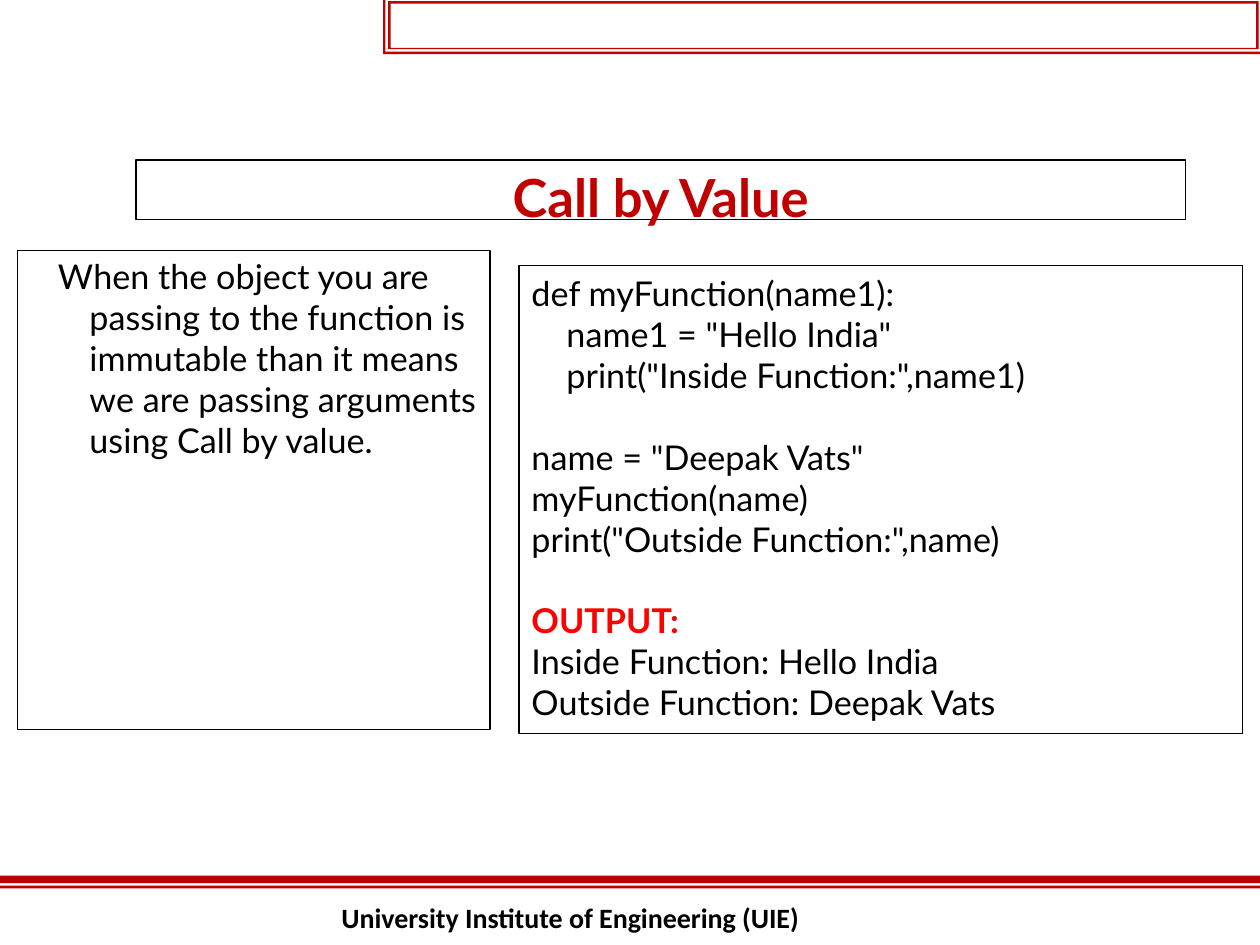
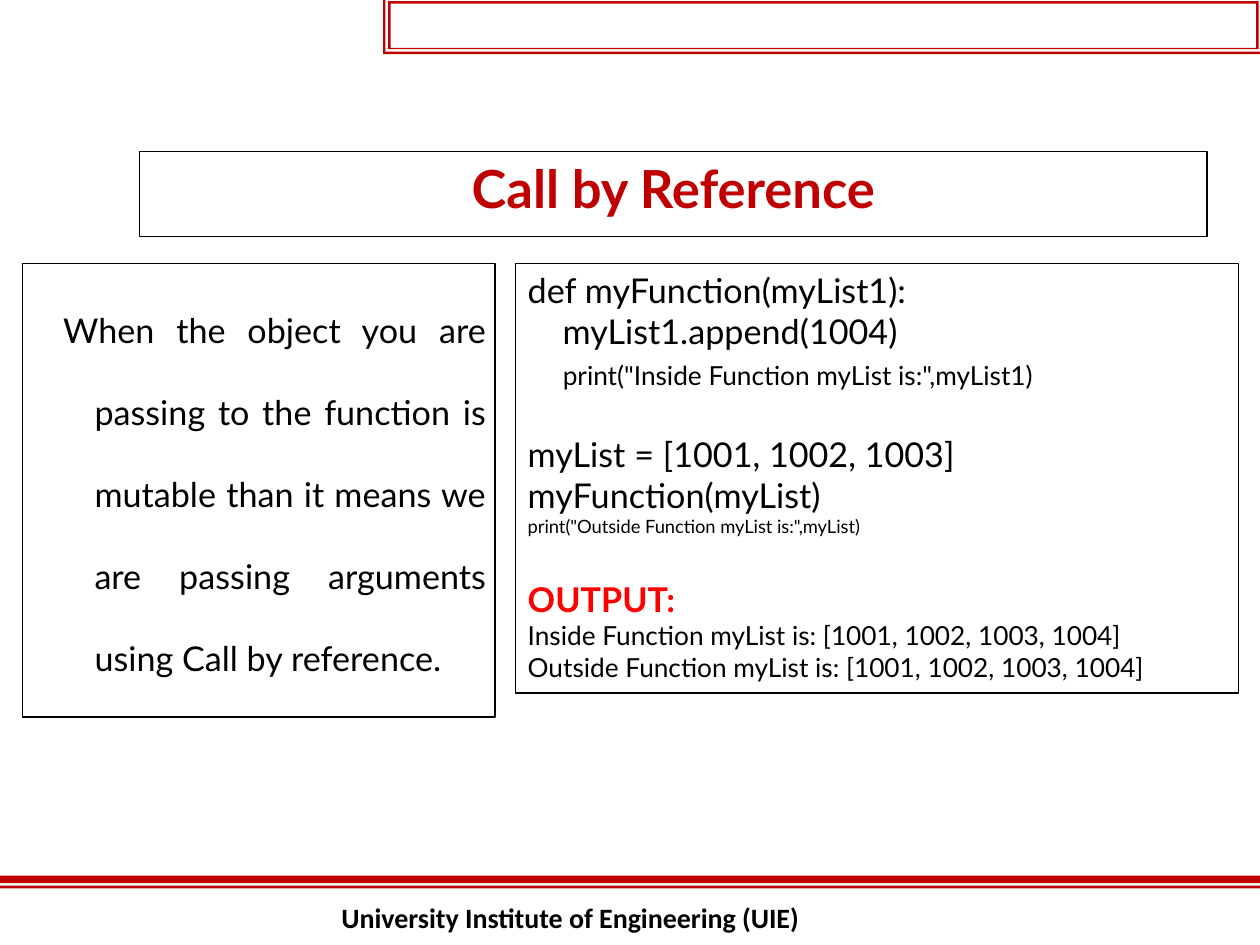
"""Builds two slides on calling Python functions by value and by reference."""
from pptx import Presentation
from pptx.dml.color import RGBColor
from pptx.enum.text import MSO_ANCHOR, MSO_AUTO_SIZE, PP_ALIGN as ALIGN
from pptx.util import Inches, Pt

COLORS = {"brand": "C00000", "text": "000000", "output": "FF0000"}
CODE_SIZE = 19.5
LINE_HEIGHT = 1.2
INSETS = (0.07, 0.04)
FOOTER = "University Institute of Engineering (UIE)"
FOOTER_AREA = (2.71, 7.15, 4.59, 0.27)

LESSONS = [
    {
        "title": "Call by Value",
        "title_area": (1.08, 1.27, 8.33, 0.47),
        "idea": "When the object you are passing to the function is immutable "
                "than it means we are passing arguments using Call by value.",
        "idea_area": (0.14, 1.99, 3.75, 3.8),
        "idea_format": {},
        "code": [
            [("def myFunction(name1):", CODE_SIZE),
             ('    name1 = "Hello India"', CODE_SIZE),
             ('    print("Inside Function:",name1)', CODE_SIZE)],
            [('name = "Deepak Vats"', CODE_SIZE),
             ("myFunction(name)", CODE_SIZE),
             ('print("Outside Function:",name)', CODE_SIZE)],
            [("OUTPUT:", CODE_SIZE),
             ("Inside Function: Hello India", CODE_SIZE),
             ("Outside Function: Deepak Vats", CODE_SIZE)],
        ],
        "code_area": (4.12, 2.11, 5.74, 3.71),
    },
    {
        "title": "Call by Reference",
        "title_area": (1.11, 1.2, 8.47, 0.68),
        "idea": "When the object you are passing to the function is mutable "
                "than it means we are passing arguments using Call by reference.",
        "idea_area": (0.18, 2.09, 3.75, 3.6),
        "idea_format": {"align": ALIGN.JUSTIFY, "spacing": 2.0},
        "code": [
            [("def myFunction(myList1):", CODE_SIZE),
             ("    myList1.append(1004)", CODE_SIZE),
             ('    print("Inside Function myList is:",myList1)', 15)],
            [("myList = [1001, 1002, 1003]", CODE_SIZE),
             ("myFunction(myList)", CODE_SIZE),
             ('print("Outside Function myList is:",myList)', 10.5)],
            [("OUTPUT:", CODE_SIZE),
             ("Inside Function myList is: [1001, 1002, 1003, 1004]", 15),
             ("Outside Function myList is: [1001, 1002, 1003, 1004]", 15)],
        ],
        "code_area": (4.09, 2.09, 5.74, 3.41),
    },
]


def rect(left, top, right, bottom):
    return [(left, top), (right, top), (right, bottom), (left, bottom)]


FOOTER_RULES = [rect(0, 6.95, 10, 7.01), rect(0, 7.03, 10, 7.05)]
HEADER_FRAME = [
    [(3.04, 0), (3.06, 0), (3.06, 0.41), (10, 0.41), (10, 0.43), (3.04, 0.43)],
    rect(3.08, 0.01, 9.99, 0.39),
    rect(3.1, 0.03, 9.97, 0.38),
]


def rgb(name):
    return RGBColor.from_string(COLORS[name])


def write(paragraph, text, size=CODE_SIZE, color="text", bold=False, font="Lato",
          align=ALIGN.LEFT, spacing=None, before=0):
    paragraph.alignment = align
    paragraph.line_spacing = spacing
    paragraph.space_before = Pt(before)
    code = text.lstrip()
    indent = text[:len(text) - len(code)]
    for part, part_size in ((indent, CODE_SIZE), (code, size)):
        if part:
            run = paragraph.add_run()
            run.text = part
            run.font.name, run.font.size, run.font.bold = font, Pt(part_size), bold
            run.font.color.rgb = rgb(color)


def place(box, area, insets, outlined=True):
    box.left, box.top, box.width, box.height = map(Inches, area)
    frame = box.text_frame
    frame.word_wrap = True
    frame.auto_size = MSO_AUTO_SIZE.NONE
    frame.vertical_anchor = MSO_ANCHOR.TOP
    frame.margin_left = frame.margin_right = Inches(insets[0])
    frame.margin_top = frame.margin_bottom = Inches(insets[1])
    if outlined:
        box.line.color.rgb = rgb("text")
        box.line.width = Pt(0.75)
    return frame


def add_box(slide, area, insets, outlined=True):
    box = slide.shapes.add_textbox(*map(Inches, area))
    return place(box, area, insets, outlined)


def add_band(slide, layout, outlines):
    start, *rest = [[tuple(map(Inches, point)) for point in line] for line in outlines]
    builder = slide.shapes.build_freeform(*start[0])
    builder.add_line_segments(start[1:])
    for outline in rest:
        builder.move_to(*outline[0])
        builder.add_line_segments(outline[1:])
    band = builder.convert_to_shape()
    band.shadow.inherit = False
    band.fill.solid()
    band.fill.fore_color.rgb = rgb("brand")
    band.line.fill.background()
    layout.shapes.element.append(band.element)


def add_code(slide, blocks, area):
    frame = add_box(slide, area, (0.1, 0.05))
    paragraph = frame.paragraphs[0]
    for block_no, block in enumerate(blocks):
        for line_no, (text, size) in enumerate(block):
            if block_no or line_no:
                paragraph = frame.add_paragraph()
            heading = text == "OUTPUT:"
            gap = CODE_SIZE * LINE_HEIGHT if block_no and not line_no else 0
            write(paragraph, text, size=size, bold=heading, before=gap,
                  color="output" if heading else "text")


def add_lesson(slide, lesson):
    title = place(slide.shapes.title, lesson["title_area"], INSETS)
    write(title.paragraphs[0], lesson["title"], size=30, color="brand", bold=True,
          align=ALIGN.CENTER)
    idea = add_box(slide, lesson["idea_area"], INSETS).paragraphs[0]
    properties = idea._p.get_or_add_pPr()
    properties.set("marL", str(Inches(0.5)))
    properties.set("indent", str(Inches(-0.25)))
    write(idea, lesson["idea"], **lesson["idea_format"])
    add_code(slide, lesson["code"], lesson["code_area"])
    footer = add_box(slide, FOOTER_AREA, (0, 0), outlined=False)
    write(footer.paragraphs[0], FOOTER, size=16, bold=True, font="Calibri")


def main():
    deck = Presentation()
    deck.slide_width, deck.slide_height = Inches(10), Inches(7.5)
    layout = deck.slide_layouts[5]
    slides = [deck.slides.add_slide(layout) for _ in LESSONS]
    for outlines in (FOOTER_RULES, HEADER_FRAME):
        add_band(slides[0], layout, outlines)
    for slide, lesson in zip(slides, LESSONS):
        add_lesson(slide, lesson)
    deck.save("out.pptx")


if __name__ == "__main__":
    main()
